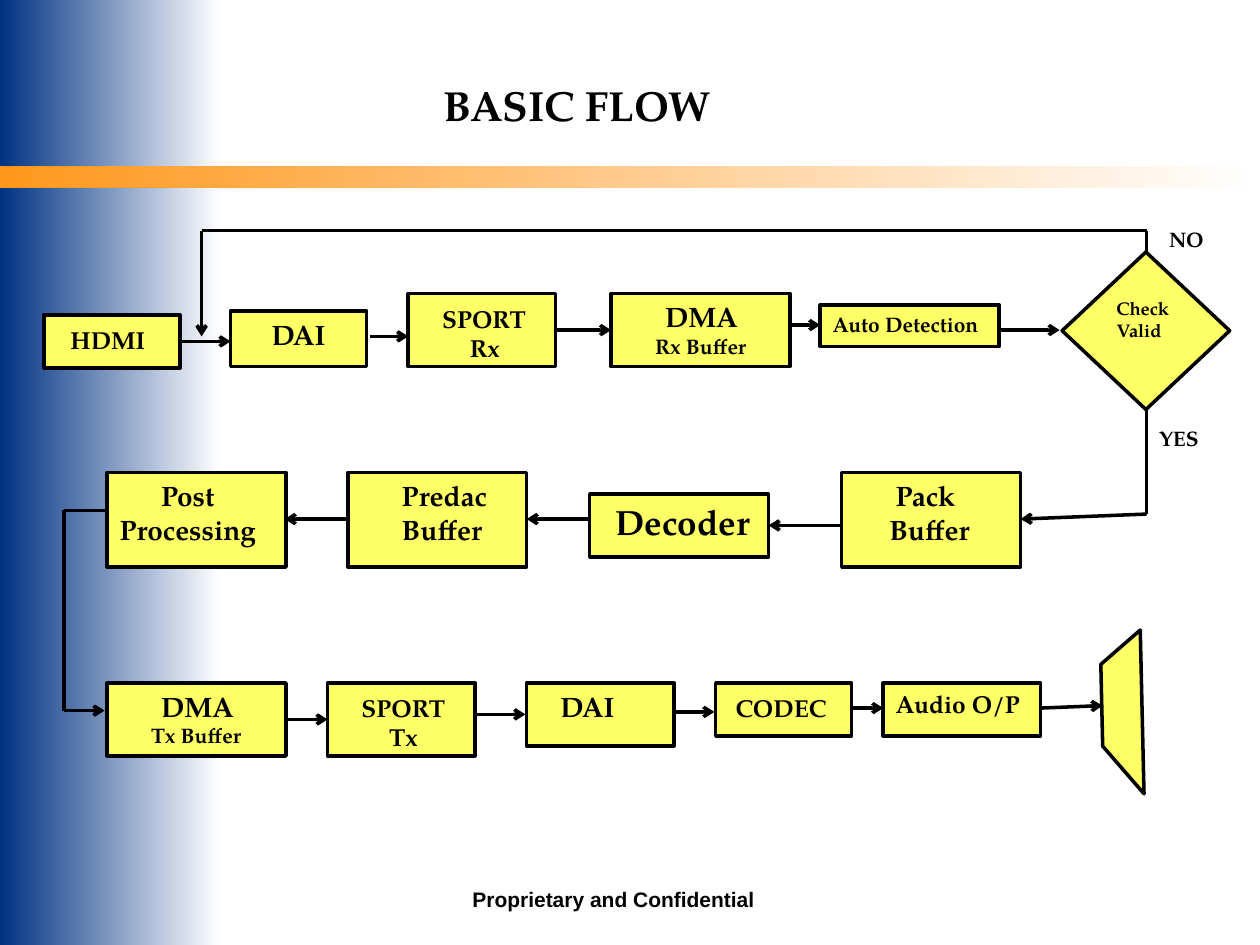
from itertools import pairwise

from lxml.etree import SubElement
from pptx import Presentation
from pptx.dml.color import RGBColor
from pptx.enum.shapes import MSO_CONNECTOR as Line, MSO_SHAPE as Shape
from pptx.enum.text import MSO_ANCHOR as Anchor, MSO_AUTO_SIZE as AutoSize, PP_ALIGN as Align
from pptx.oxml.ns import qn
from pptx.util import Inches, Pt

COLORS = {
    "ink": "000000",
    "node": "FFFF66",
    "side": "003282",
    "rule": "FF971C",
    "paper": "FFFFFF",
}
SERIF, SANS = "TeX Gyre Pagella", "Arial"
COLUMNS, ROWS = 100, 75


def color(name):
    return RGBColor.from_string(COLORS[name])


def write(frame, lines, font=SERIF, align=Align.LEFT, top=0.05, wrap=True):
    """Fill a frame with lines given as (text, size, left indent in inches)."""
    frame.word_wrap = wrap
    frame.auto_size = AutoSize.NONE
    frame.vertical_anchor = Anchor.TOP
    frame.margin_left = frame.margin_right = Inches(0.1)
    frame.margin_top, frame.margin_bottom = Inches(top), Inches(0.05)
    for index, (text, size, indent) in enumerate(lines):
        para = frame.add_paragraph() if index else frame.paragraphs[0]
        para.alignment = align
        para.space_before = Pt(0)
        properties = para._p.get_or_add_pPr()
        properties.set("marL", str(Inches(indent)))
        properties.set("indent", "0")
        span = para.add_run()
        span.text = text
        span.font.name, span.font.size = font, Pt(size)
        span.font.bold = True
        span.font.color.rgb = color("ink")


class FlowSlide:
    """One slide measured on a grid of 100 columns by 75 rows."""

    def __init__(self, deck):
        self.column = deck.slide_width / COLUMNS
        self.row = deck.slide_height / ROWS
        self.stroke = Pt(2)
        self.slide = deck.slides.add_slide(deck.slide_layouts[5])
        self.shapes = self.slide.shapes

    def place(self, left, top, width, height):
        return (round(left * self.column), round(top * self.row),
                round(width * self.column), round(height * self.row))

    def title(self, text, *area):
        box = self.shapes.title
        box.left, box.top, box.width, box.height = self.place(*area)
        write(box.text_frame, [(text, 24, 0)], wrap=False)

    def band(self, tint, *area):
        band = self.shapes.add_shape(Shape.RECTANGLE, *self.place(*area))
        band.shadow.inherit = False
        band.line.fill.background()
        band.fill.gradient()
        band.fill.gradient_angle = 0
        for stop, name in zip(band.fill.gradient_stops, (tint, "paper")):
            stop.color.rgb = color(name)

    def node(self, area, lines=(), kind=Shape.RECTANGLE, turn=0, **style):
        node = self.shapes.add_shape(kind, *self.place(*area))
        node.shadow.inherit = False
        node.rotation = turn
        node.fill.solid()
        node.fill.fore_color.rgb = color("node")
        node.line.color.rgb = color("ink")
        node.line.width = self.stroke
        write(node.text_frame, lines, **style)

    def label(self, text, *area, **style):
        box = self.shapes.add_textbox(*self.place(*area))
        write(box.text_frame, [(text, 12, 0)], **style)

    def route(self, *points):
        """Join the points with straight lines; the last one has an arrowhead."""
        for start, end in pairwise(points):
            line = self.shapes.add_connector(Line.STRAIGHT, *self.place(*start, *end))
            line.line.width = self.stroke
            line.line.color.rgb = color("ink")
            properties = line.element.spPr
            if end == points[-1]:
                SubElement(properties.find(qn("a:ln")), qn("a:tailEnd"), type="arrow")
            SubElement(properties, qn("a:effectLst"))


# Steps: area on the grid, lines of text, format
LOWERED = {"top": 0.08}
CENTERED = {"align": Align.CENTER}
STEPS = [
    # Receiving
    ((3.5, 25, 10.8, 4.2), [("HDMI", 14, 0.11)], LOWERED),
    ((18.3, 24.7, 10.8, 4.4), [("DAI", 16, 0)], CENTERED),
    ((32.4, 23.3, 11.7, 5.8), [("SPORT", 14, 0.17), ("Rx", 14, 0.39)], LOWERED),
    ((48.5, 23.3, 14.2, 5.8), [("DMA", 16, 0.33), ("Rx Buffer", 12, 0.25)], {}),
    ((65.1, 24.2, 14.2, 3.3), [("Auto Detection", 12, 0)], {}),
    ((84.3, 20, 13.3, 12.5), [("Check", 10.5, 0), ("Valid", 10.5, 0)],
     {"kind": Shape.FLOWCHART_DECISION}),
    # Decoding
    ((66.8, 37.5, 14.2, 7.5), [("Pack", 16, 0.33), ("Buffer", 16, 0.28)], {}),
    ((46.8, 39.2, 14.2, 5), [("Decoder", 20, 0.06)], CENTERED),
    ((27.6, 37.5, 14.2, 7.5), [("Predac", 16, 0.33), ("Buffer", 16, 0.33)], {}),
    ((8.5, 37.5, 14.2, 7.5), [("Post", 16, 0.33), ("Processing", 16, 0)], {}),
    # Sending
    ((8.5, 54.2, 14.2, 5.8), [("DMA", 16, 0.33), ("Tx Buffer", 12, 0.25)], {}),
    ((26, 54.2, 11.7, 5.8), [("SPORT", 14, 0.17), ("Tx", 14, 0.39)], LOWERED),
    ((41.8, 54.2, 11.7, 5), [("DAI", 16, 0.17)], {}),
    ((56.8, 54.2, 10.8, 4.2), [("CODEC", 14, 0.06)], LOWERED),
    ((70.1, 54.2, 12.5, 4.2), [("Audio O/P", 14, 0)], {}),
    # Speaker
    ((86.5, 51.5, 8.3, 10), [], {"kind": Shape.DIAGONAL_STRIPE, "turn": 319}),
]

# Level arrows: row, start column, end column
ARROWS = [
    (27.1, 14.3, 18.3), (26.7, 29.4, 32.4), (26.2, 44.1, 48.5),
    (25.8, 62.6, 65.1), (26.2, 79.4, 84.1),
    (41.7, 66.7, 61), (41.2, 46.7, 41.8), (41.2, 27.6, 22.6),
    (57.1, 22.6, 26), (56.7, 37.7, 41.7), (56.5, 53.4, 56.7), (56.2, 67.6, 70.1),
]

# Routes with a bend or a slope
ROUTES = [
    [(91, 20), (91, 18.3), (16, 18.3), (16, 26.7)],
    [(91, 32.5), (91, 40.8), (81, 41.2)],
    [(8.5, 40.5), (5.1, 40.5), (5.1, 56.4), (8.3, 56.4)],
    [(82.6, 56.2), (87.5, 56)],
]


# Connectors take end points, so areas and points need separate placing
class FlowChart(FlowSlide):
    """Flow slide with the whole chart drawn from the tables above."""

    def draw(self):
        for area, lines, style in STEPS:
            self.node(area, lines, **style)
        for row, start, end in ARROWS:
            self.route((start, row), (end, row))
        for points in ROUTES:
            self.route(*points)


def main():
    deck = Presentation()
    deck.slide_width, deck.slide_height = Inches(10), Inches(7.5)
    chart = FlowChart(deck)

    # Background bands, title and footer
    chart.band("side", 0, 0, 17.5, 75)
    chart.band("rule", 0, 13.2, 99.7, 1.7)
    chart.title("BASIC FLOW", 34.2, 5.8, 23.6, 5.1)
    chart.label("Proprietary and Confidential", 36.5, 69.9, 24.4, 3,
                font=SANS, align=Align.CENTER, wrap=False)

    # Flow and branch labels
    chart.draw()
    chart.label("NO", 91.8, 17.5, 5, 3)
    chart.label("YES", 91, 33.3, 5.8, 3)
    deck.save("out.pptx")


if __name__ == "__main__":
    main()
